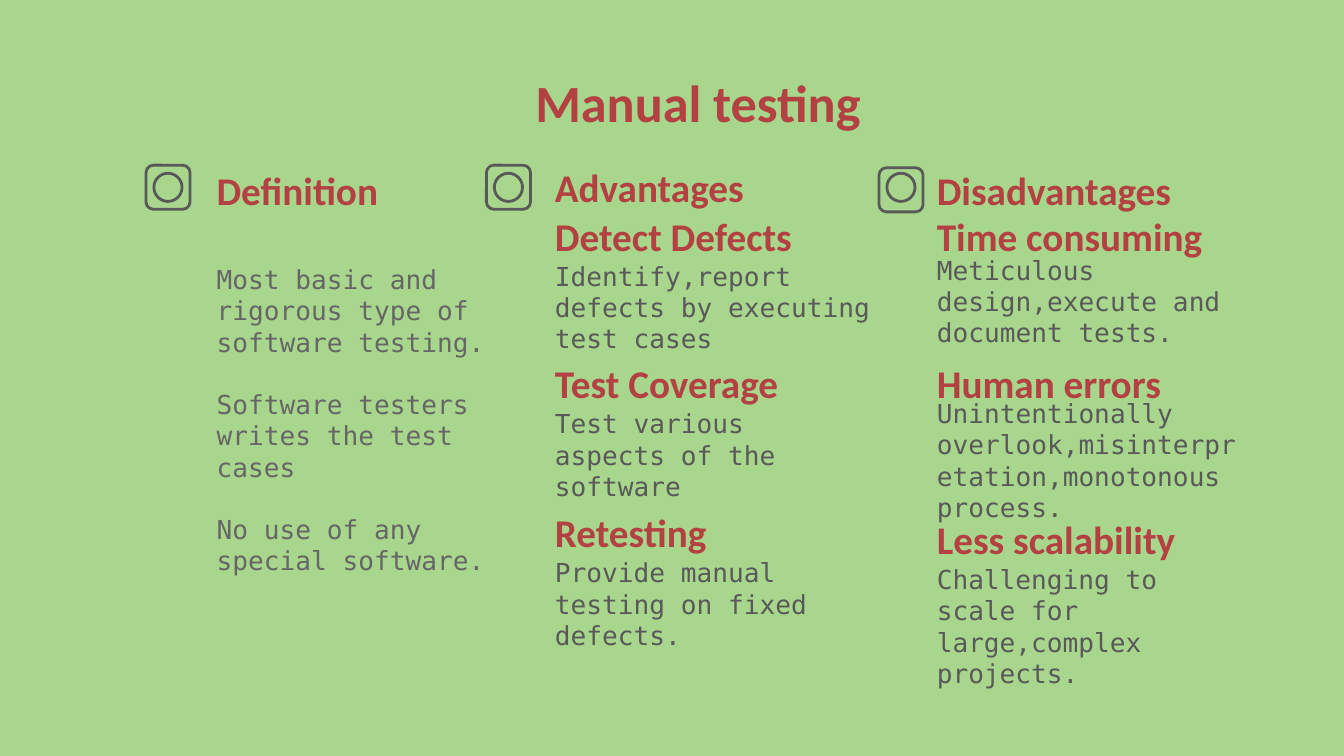
from pptx import Presentation
from pptx.dml.color import RGBColor
from pptx.enum.shapes import MSO_SHAPE
from pptx.enum.text import MSO_ANCHOR, MSO_AUTO_SIZE, PP_ALIGN
from pptx.oxml.ns import qn
from pptx.util import Pt

GREEN = RGBColor(0xA8, 0xD6, 0x8C)
RED = RGBColor(0xB4, 0x41, 0x41)
DARK = RGBColor(0x59, 0x59, 0x59)
GREY = RGBColor(0x66, 0x66, 0x66)
SANS = "Calibri"
MONO = "DejaVu Sans Mono"


class Deck:
    inset = 7.2
    gap = 16.6

    def __init__(self, wide, high):
        self.file = Presentation()
        self.file.slide_width = Pt(wide)
        self.file.slide_height = Pt(high)
        self.slide = self.file.slides.add_slide(self.file.slide_layouts[1])
        self.paint(self.slide.background.fill)

    def paint(self, fill):
        fill.solid()
        fill.fore_color.rgb = GREEN

    def place(self, shape, box):
        shape.left, shape.top, shape.width, shape.height = map(Pt, box)

    def frame(self, shape, anchor):
        frame = shape.text_frame
        frame.word_wrap = True
        frame.auto_size = MSO_AUTO_SIZE.NONE
        frame.vertical_anchor = anchor
        frame.margin_left = frame.margin_right = Pt(self.inset)
        frame.margin_top = frame.margin_bottom = Pt(self.inset)
        return frame

    def run(self, para, text, size, face, color, bold=False):
        run = para.add_run()
        run.text = text
        font = run.font
        font.size, font.name, font.bold = Pt(size), face, bold
        font.color.rgb = color

    def title(self, text, *box):
        shape = self.slide.shapes.title
        self.place(shape, box)
        para = self.frame(shape, MSO_ANCHOR.TOP).paragraphs[0]
        para.alignment = PP_ALIGN.CENTER
        para.line_spacing = 0.8
        self.run(para, text, 28, SANS, RED, True)

    def list(self, items, *box):
        shape = self.slide.placeholders[1]
        self.place(shape, box)
        frame = self.frame(shape, MSO_ANCHOR.TOP)
        for i, item in enumerate(items):
            para = frame.add_paragraph() if i else frame.paragraphs[0]
            para.space_before = Pt(self.gap if i else 0)
            props = para._p.get_or_add_pPr()
            props.set("marL", "0")
            props.set("indent", "0")
            props.append(props.makeelement(qn("a:buNone"), {}))
            self.run(para, item, 14, MONO, GREY)

    def label(self, box):
        shape = self.slide.shapes.add_textbox(*map(Pt, box))
        return self.frame(shape, MSO_ANCHOR.MIDDLE).paragraphs[0]

    def head(self, text, *box):
        self.run(self.label(box), text, 21, SANS, RED, True)

    def note(self, text, *box):
        self.run(self.label(box), text, 14, MONO, DARK)

    def shape(self, kind, *box):
        shape = self.slide.shapes.add_shape(kind, *map(Pt, box))
        shape.shadow.inherit = False
        shape.fill.background()
        shape.line.color.rgb = DARK
        shape.line.width = Pt(1.5)
        return shape

    def icon(self, left, top):
        self.shape(MSO_SHAPE.ROUNDED_RECTANGLE, left, top, 23.6, 23.6)
        ring = self.shape(MSO_SHAPE.OVAL, left + 4.2, 92.8, 15.1, 15.1)
        ring.rotation = 90
        self.paint(ring.fill)

    def save(self):
        self.file.save("out.pptx")


def main():
    deck = Deck(720, 405)
    deck.title("Manual testing", 140.2, 36.7, 467.3, 43.9)

    left, mid, right = 108.9, 290.2, 494.8
    deck.list(
        [
            "Most basic and rigorous type of software testing.",
            "Software testers writes the test cases",
            "No use of any special software.",
        ],
        left, 133.8, 164.9, 218.2,
    )

    heads = [
        ("Definition", left, 85.5, 140.4, 32.4),
        ("Advantages", mid, 83.9, 140.4, 32.4),
        ("Disadvantages", right, 85.5, 164.9, 32.4),
        ("Detect Defects", mid, 109.9, 204.5, 32.4),
        ("Test Coverage", mid, 188.8, 164.9, 32.4),
        ("Retesting", mid, 268.5, 140.4, 32.4),
        ("Time consuming", right, 109.9, 164.9, 32.4),
        ("Human errors", right, 189.1, 140.4, 32.4),
        ("Less scalability", right, 277, 169.9, 23.8),
    ]
    for head in heads:
        deck.head(*head)

    notes = [
        ("Identify,report defects by executing test cases", mid, 133.9, 187.2, 61.2),
        ("Test various aspects of the software", mid, 213.1, 176.4, 61.2),
        ("Provide manual testing on fixed defects.", mid, 292.8, 153.4, 61.2),
        ("Meticulous design,execute and document tests.", right, 134, 176.4, 54.7),
        ("Unintentionally overlook,misinterpretation,monotonous process.",
         right, 224.6, 176.4, 43.9),
        ("Challenging to scale for large,complex projects.", right, 304.7, 153.4, 61.2),
    ]
    for note in notes:
        deck.note(*note)

    for x, y in [(78.2, 88.5), (260.6, 88.5), (470.9, 89.9)]:
        deck.icon(x, y)
    deck.save()


if __name__ == "__main__":
    main()
